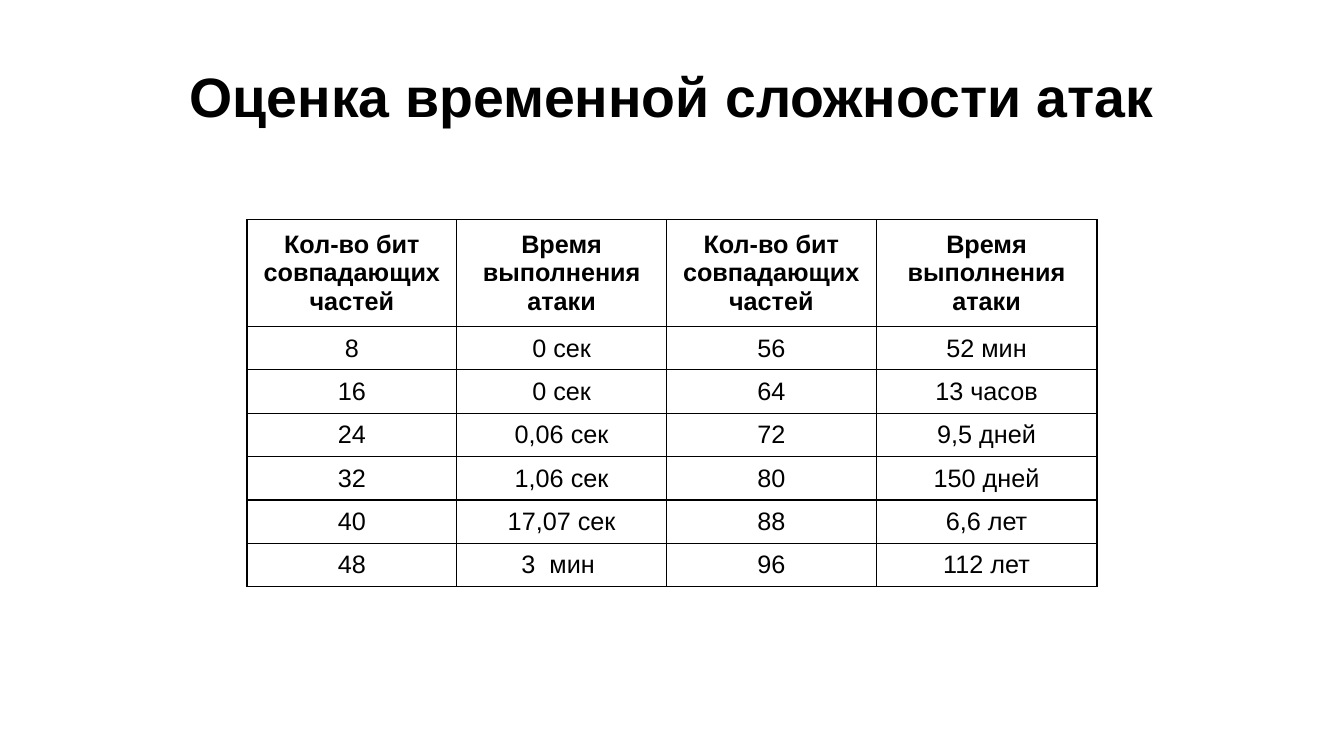
from lxml.etree import SubElement
from pptx import Presentation
from pptx.dml.color import RGBColor
from pptx.enum.text import MSO_ANCHOR as Anchor, PP_ALIGN as Align
from pptx.oxml.ns import qn
from pptx.util import Inches, Pt

BLACK = "000000"
FONT = "Arial"
HEADINGS = ["Кол-во бит совпадающих частей", "Время выполнения атаки"] * 2
ATTACK_TIMES = [
    ("8", "0 сек", "56", "52 мин"),
    ("16", "0 сек", "64", "13 часов"),
    ("24", "0,06 сек", "72", "9,5 дней"),
    ("32", "1,06 сек", "80", "150 дней"),
    ("40", "17,07 сек", "88", "6,6 лет"),
    ("48", "3  мин ", "96", "112 лет"),
]
COLUMN_WIDTHS = [2.08, 2.08, 2.08, 2.19]
ROW_HEIGHTS = [1.06] + [0.43] * len(ATTACK_TIMES)


def color(hex_value):
    """Turn a hex string into a colour."""
    return RGBColor.from_string(hex_value)


def format_text(frame, size, bold):
    """Centre the text and set its font."""
    for paragraph in frame.paragraphs:
        paragraph.alignment = Align.CENTER
        for run in paragraph.runs:
            run.font.name = FONT
            run.font.size = Pt(size)
            run.font.bold = bold
            run.font.color.rgb = color(BLACK)


def add_borders(cell, hex_value, width):
    """Draw a solid line on each side of a cell."""
    properties = cell._tc.get_or_add_tcPr()
    for side in ("a:lnL", "a:lnR", "a:lnT", "a:lnB"):
        line = SubElement(properties, qn(side), w=str(Pt(width)))
        fill = SubElement(line, qn("a:solidFill"))
        SubElement(fill, qn("a:srgbClr"), val=hex_value)


def fill_cell(cell, wording, bold):
    """Write and style one table cell."""
    cell.text_frame.text = wording
    cell.vertical_anchor = Anchor.MIDDLE
    format_text(cell.text_frame, 18, bold)
    add_borders(cell, BLACK, 1)
    cell.fill.background()


def set_title(slide, wording):
    """Place and format the slide title."""
    title = slide.shapes.title
    title.left, title.top = Inches(0), Inches(0.63)
    title.width, title.height = Inches(13.33), Inches(0.71)
    frame = title.text_frame
    frame.text = wording
    frame.vertical_anchor = Anchor.MIDDLE
    frame.paragraphs[0].line_spacing = 0.9
    format_text(frame, 39.6, True)


def add_attack_table(slide):
    """Add the table of attack times."""
    rows = [HEADINGS, *ATTACK_TIMES]
    table = slide.shapes.add_table(
        len(rows), len(HEADINGS), Inches(2.45), Inches(2.18),
        Inches(sum(COLUMN_WIDTHS)), Inches(sum(ROW_HEIGHTS)),
    ).table
    table.horz_banding = False
    for column, width in zip(table.columns, COLUMN_WIDTHS):
        column.width = Inches(width)
    for row, height in zip(table.rows, ROW_HEIGHTS):
        row.height = Inches(height)
    for row_index, row in enumerate(rows):
        for column_index, wording in enumerate(row):
            fill_cell(table.cell(row_index, column_index), wording, row_index == 0)


def main():
    """Build and save the slide."""
    deck = Presentation()
    deck.slide_width, deck.slide_height = Inches(13.33), Inches(7.5)
    slide = deck.slides.add_slide(deck.slide_layouts[5])
    set_title(slide, "Оценка временной сложности атак")
    add_attack_table(slide)
    deck.save("out.pptx")


if __name__ == "__main__":
    main()
